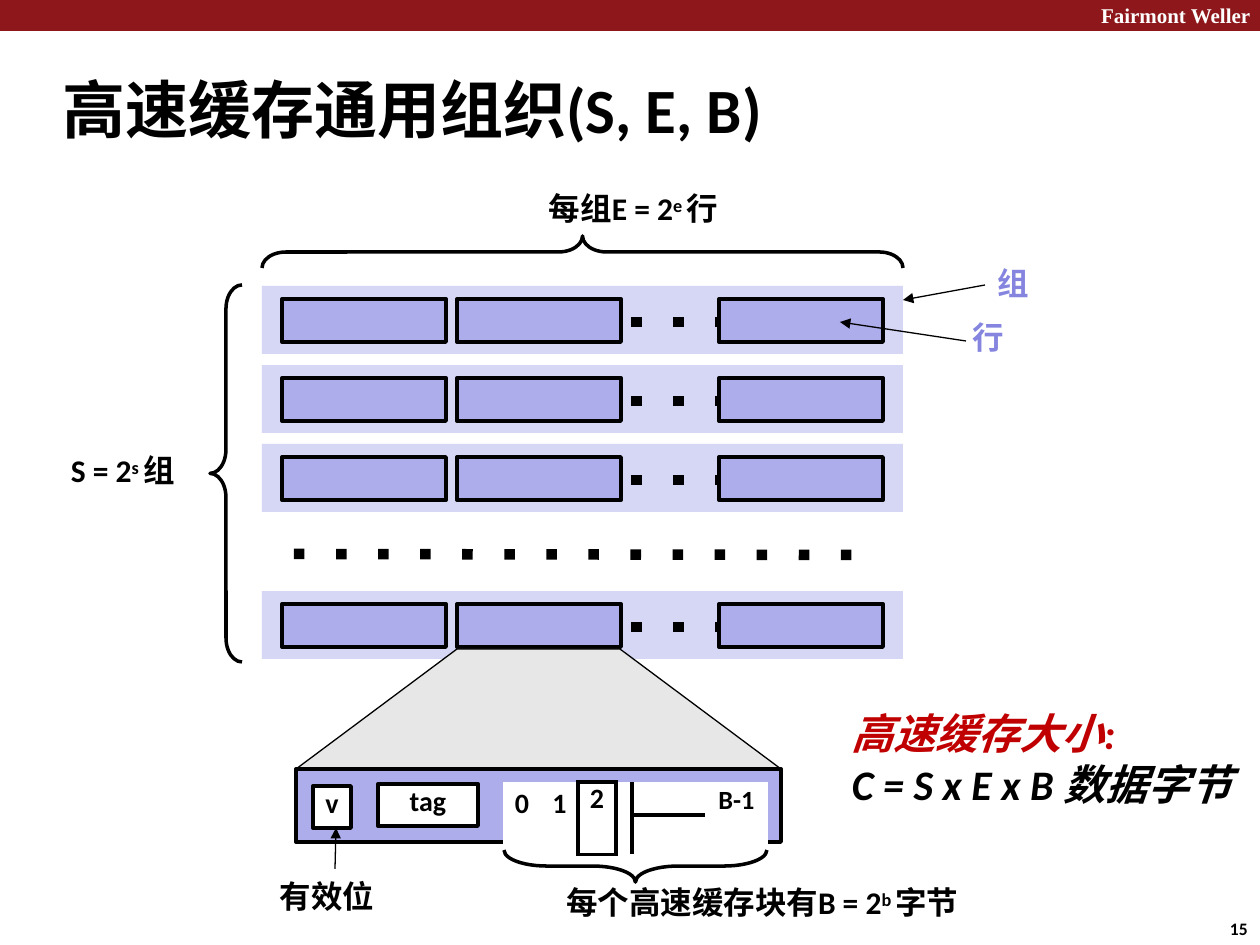
from lxml.etree import SubElement
from pptx import Presentation
from pptx.dml.color import RGBColor
from pptx.enum.shapes import MSO_CONNECTOR, MSO_SHAPE as SHAPE
from pptx.enum.text import MSO_ANCHOR, PP_ALIGN
from pptx.oxml.ns import qn
from pptx.util import Pt

# Theme
THEME = dict(
    font="Calibri", serif="Times New Roman",
    black="000000", white="FFFFFF", banner="8D171A", set="D6D6F5", line="ADADEB",
    label="8585E0", zoom="E7E7E7", accent="C00000",
    title=36, formula=24, body=18, cell=16, last=15, brand=12, page=10,
    thin=0.75, brace=2, box=2.25, rule=3.12, dots=6,
)
T = THEME
NO_GRID = "{2D5ABB26-0587-4C30-8999-92F81FD0307C}"

# Content: box in px, paragraphs of (text, format) runs
SUP = dict(base=25)
TEXTS = [
    ((1101, 3, 157, 28), [[("Fairmont Weller", {})]],
     dict(size="brand", font="serif", color="white")),
    ((62, 71, 950, 76), [[("高速缓存通用组织(S, E, B)", {})]], dict(size="title")),
    ((549, 189, 300, 38), [[("每组E = 2", {}), ("e ", SUP), ("行", {})]], {}),
    ((71, 451, 140, 38), [[("S = 2", {}), ("s ", SUP), ("组", {})]], {}),
    ((998, 264, 50, 38), [[("组", {})]], dict(color="label")),
    ((973, 318, 50, 38), [[("行", {})]], dict(color="label")),
    ((566, 883, 500, 38), [[("每个高速缓存块有B = 2", {}), ("b ", SUP), ("字节", {})]], {}),
    ((852, 708, 408, 105), [[("高速缓存大小:", dict(color="accent"))],
                            [("C = S x E x B ", {}), ("数据字节", {})]],
     dict(size="formula", italic=True)),
    ((280, 877, 120, 38), [[("有效位", {})]], {}),
    ((1230, 918, 30, 21), [[("15", {})]], dict(size="page")),
]
SET_TOPS = [286 + 79 * i for i in range(3)] + [591]
LINE_LEFTS = [282, 457, 719]
# Block bytes: text, width, top margin, size, borders
BYTES = [
    ("0", 38, 5, "cell", ""), ("1", 37, 5, "cell", "R"), ("2", 38, 0, "cell", "LRTB"),
    ("", 16, 0, "cell", "L"), ("", 73, 0, "cell", ""), ("B-1", 63, 3, "last", ""),
]
BYTE_ROWS = [33, 37]
RULE_COL = 4
FIELDS = [("tag", (378, 784, 100, 42)), ("v", (313, 786, 38, 42))]
# Braces: box as drawn, rotation, curve radius
BRACES = [((262, 236, 641, 32), 90, 24), ((210, 285, 32, 377), 0, 24),
          ((504, 850, 263, 32), -90, 43)]
ARROWS = [(985, 285, 903, 300), (966, 341, 840, 322), (335, 869, 336, 828)]


def px(n):
    return round(n * 914400 / 126)


def rgb(name):
    return RGBColor.from_string(T[name])


def put_text(tf, paras, size="body", font="font", color="black", italic=False,
             align=PP_ALIGN.LEFT):
    tf.word_wrap = True
    for i, runs in enumerate(paras):
        p = tf.paragraphs[0] if i == 0 else tf.add_paragraph()
        p.alignment = align
        for text, fmt in runs:
            r = p.add_run()
            r.text = text
            f = r.font
            f.name, f.size, f.bold, f.italic = T[font], Pt(T[size]), True, italic
            f.color.rgb = rgb(fmt.get("color", color))
            if "base" in fmt:
                r._r.get_or_add_rPr().set("baseline", str(fmt["base"] * 1000))


def no_margins(tf):
    tf.margin_left = tf.margin_right = tf.margin_top = tf.margin_bottom = 0
    tf.vertical_anchor = MSO_ANCHOR.TOP


def paint(sp, fill=None, line=None):
    sp.shadow.inherit = False
    if fill:
        sp.fill.solid()
        sp.fill.fore_color.rgb = rgb(fill)
    else:
        sp.fill.background()
    if line:
        sp.line.color.rgb, sp.line.width = rgb("black"), Pt(T[line])
    else:
        sp.line.fill.background()
    return sp


def add_rect(s, box, fill, line=None):
    return paint(s.shapes.add_shape(SHAPE.RECTANGLE, *map(px, box)), fill, line)


def add_line(s, ends, weight, tag, **attrs):
    c = s.shapes.add_connector(MSO_CONNECTOR.STRAIGHT, *map(px, ends))
    c.line.color.rgb, c.line.width = rgb("black"), Pt(T[weight])
    SubElement(c.line._get_or_add_ln(), qn(tag), **attrs)
    SubElement(c._element.spPr, qn("a:effectLst"))


def add_dots(s, *ends):
    add_line(s, ends, "dots", "a:prstDash", val="dot")


def add_brace(s, box, turn, radius):
    x, y, w, h = box
    if turn:  # same centre, sides swapped
        x, y, w, h = x + (w - h) / 2, y + (h - w) / 2, h, w
    sp = paint(s.shapes.add_shape(SHAPE.LEFT_BRACE, *map(px, (x, y, w, h))), line="brace")
    sp.rotation = turn
    sp.adjustments[0] = round(radius / w, 2)


def add_border(cell, side, weight):
    ln = SubElement(cell._tc.get_or_add_tcPr(), qn("a:ln" + side), w=str(Pt(T[weight])))
    fill = SubElement(ln, qn("a:solidFill"))
    SubElement(fill, qn("a:srgbClr"), val=T["black"])


def add_bytes(s, x, y):
    widths = [b[1] for b in BYTES]
    frame = s.shapes.add_table(2, len(BYTES), *map(px, (x, y, sum(widths), sum(BYTE_ROWS))))
    tbl = frame.table
    tbl.first_row = tbl.horz_banding = False
    tbl._tbl.tblPr.find(qn("a:tableStyleId")).text = NO_GRID
    for row, h in zip(tbl.rows, BYTE_ROWS):
        row.height = px(h)
    for c, (text, w, top, size, sides) in enumerate(BYTES):
        tbl.columns[c].width = px(w)
        if c != RULE_COL:
            tbl.cell(0, c).merge(tbl.cell(1, c))
        for r in range(2):
            cell = tbl.cell(r, c)
            no_margins(cell)
            cell.margin_top = px(top)
            for side in sides:
                add_border(cell, side, "box")
            if c == RULE_COL:
                add_border(cell, "BT"[r], "rule")
            cell.fill.solid()
            cell.fill.fore_color.rgb = rgb("white")
            if text and r == 0:
                put_text(cell.text_frame, [[(text, {})]], size=size, align=PP_ALIGN.CENTER)
            else:  # keeps empty cells from stretching the row
                SubElement(cell.text_frame.paragraphs[0]._p, qn("a:endParaRPr"), sz="800")


def main():
    prs = Presentation()
    prs.slide_width, prs.slide_height = px(1260), px(945)
    s = prs.slides.add_slide(prs.slide_layouts[6])

    # Banner
    add_rect(s, (0, 0, 1260, 31), "banner")

    # Sets, each with its lines
    for top in SET_TOPS:
        add_rect(s, (262, top, 641, 68), "set")
        for i, left in enumerate(LINE_LEFTS):
            if i == 2:
                add_dots(s, 631, top + 36, 719, top + 36)
            add_rect(s, (left, top + 13, 164, 43), "line", "box")
    add_dots(s, 294, 554, 882, 555)

    # Zoom into one line
    fb = s.shapes.build_freeform(px(296), px(769))
    fb.add_line_segments([(px(x), px(y)) for x, y in [(457, 649), (620, 649), (781, 769)]])
    paint(fb.convert_to_shape(), "zoom", "thin")
    add_rect(s, (296, 769, 485, 73), "line", "box")
    add_bytes(s, 503, 782)
    for text, box in FIELDS:
        tf = add_rect(s, box, "white", "box").text_frame
        no_margins(tf)
        put_text(tf, [[(text, {})]], size="cell", align=PP_ALIGN.CENTER)

    # Braces, arrows and labels
    for brace in BRACES:
        add_brace(s, *brace)
    for ends in ARROWS:
        add_line(s, ends, "thin", "a:tailEnd", type="triangle")
    for box, paras, fmt in TEXTS:
        tf = s.shapes.add_textbox(*map(px, box)).text_frame
        no_margins(tf)
        put_text(tf, paras, **fmt)

    prs.save("out.pptx")


if __name__ == "__main__":
    main()
